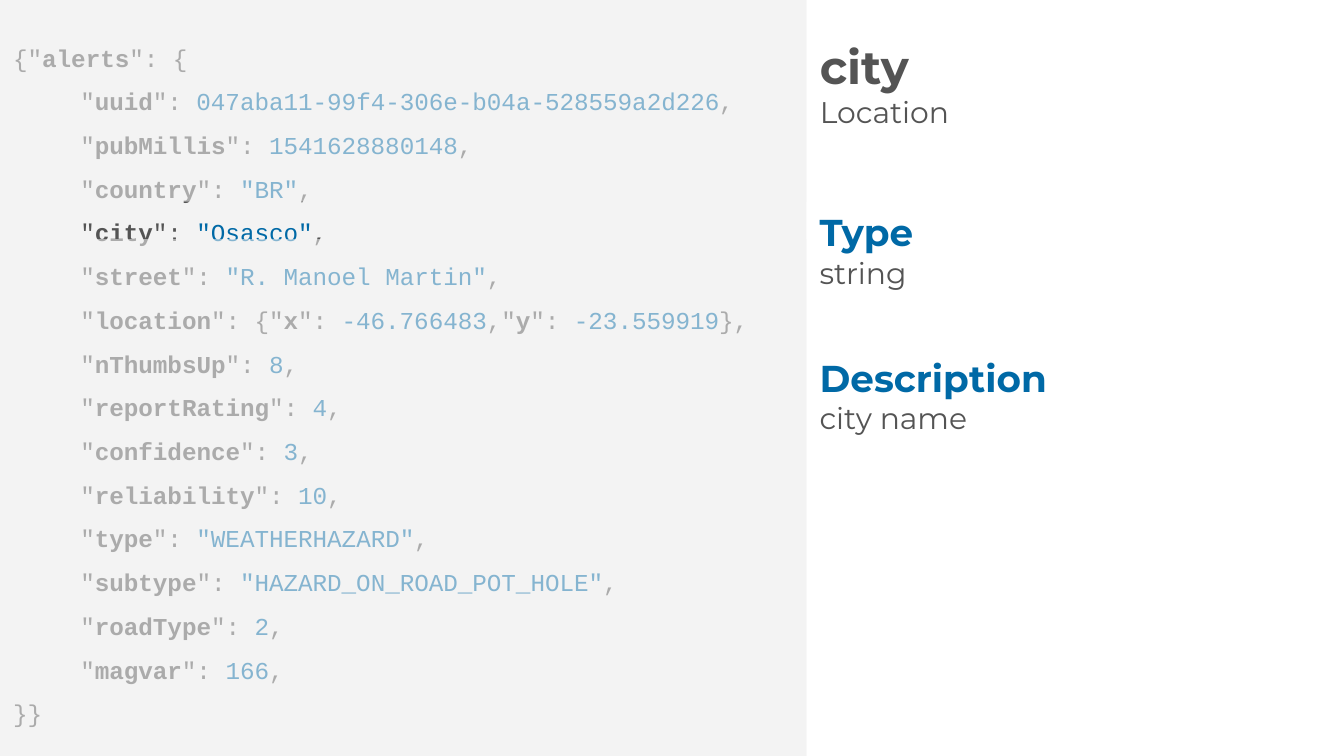
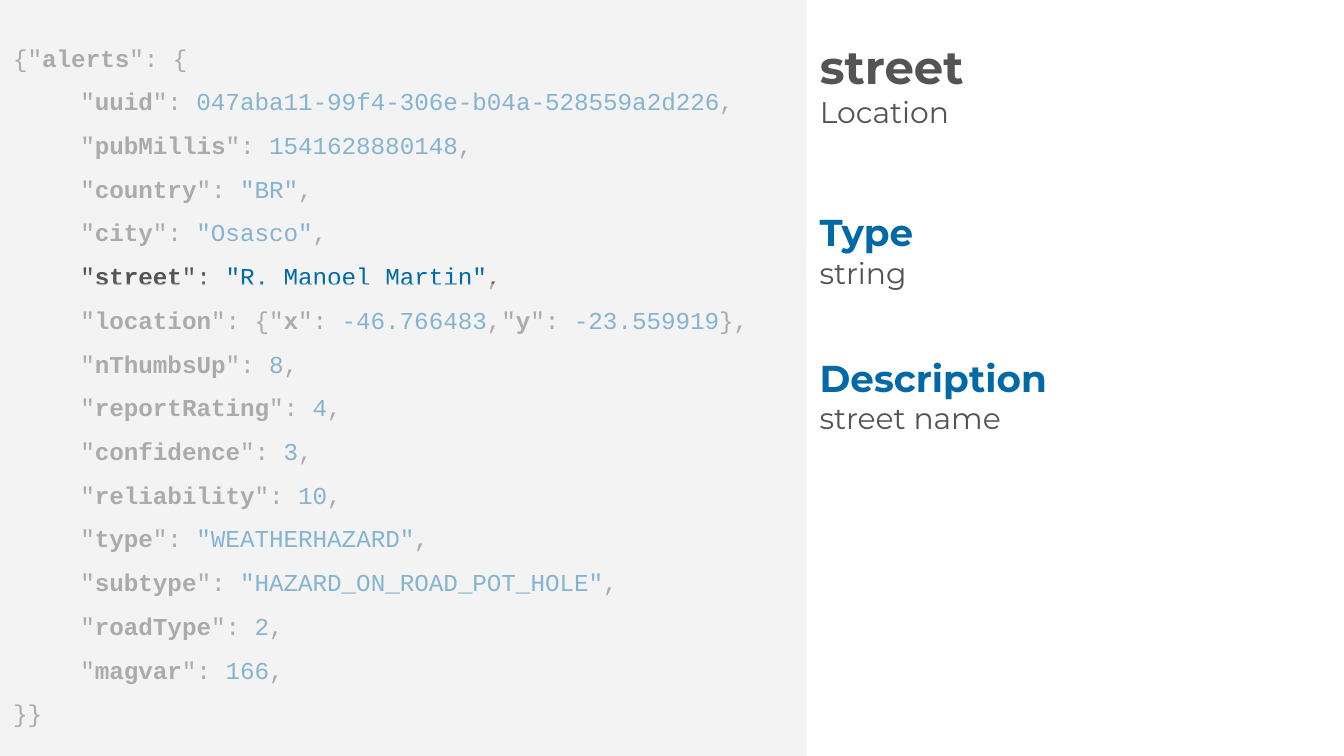
"""Build the field reference slides for the alerts JSON feed."""
from lxml import etree
from pptx import Presentation
from pptx.dml.color import RGBColor
from pptx.enum.shapes import MSO_SHAPE
from pptx.enum.text import MSO_ANCHOR, MSO_AUTO_SIZE, PP_ALIGN
from pptx.oxml.ns import qn
from pptx.util import Emu, Pt

PX = 4572
W, H = 2000, 1125
PANEL_W = 1200
INDENT = 100
ROW_TOP, ROW_STEP, GAP_H, VEIL_H = 36, 66, 56, 1010

RECT = MSO_SHAPE.RECTANGLE
MIDDLE, TOP = MSO_ANCHOR.MIDDLE, MSO_ANCHOR.TOP
LEFT = PP_ALIGN.LEFT
NO_FIT = MSO_AUTO_SIZE.NONE

GREY, TEXT, BLUE = "F3F3F3", "545454", "0069A6"
CODE_FONT, BODY_FONT = "Courier New", "Montserrat"
PLAIN, KEY, VALUE = (TEXT, False), (TEXT, True), (BLUE, False)


def px(n):
    return Emu(n * PX)


def rgb(value):
    return RGBColor.from_string(value)


def pair(key, value, lead='"'):
    return [(lead, PLAIN), (key, KEY), ('": ', PLAIN), (value, VALUE)]


FIELDS = {
    "uuid": "047aba11-99f4-306e-b04a-528559a2d226",
    "pubMillis": "1541628880148",
    "country": '"BR"',
    "city": '"Osasco"',
    "street": '"R. Manoel Martin"',
    "location": ("-46.766483", "-23.559919"),
    "nThumbsUp": "8",
    "reportRating": "4",
    "confidence": "3",
    "reliability": "10",
    "type": '"WEATHERHAZARD"',
    "subtype": '"HAZARD_ON_ROAD_POT_HOLE"',
    "roadType": "2",
    "magvar": "166",
}

SLIDES = [
    ("city", "Location", "string", "city name"),
    ("street", "Location", "string", "street name"),
]


def field_runs(key, value):
    if isinstance(value, tuple):
        x, y = value
        return [('"', PLAIN), (key, KEY), *pair("x", x, '": {"'),
                *pair("y", y, ',"'), ("},", PLAIN)]
    return pair(key, value) + [(",", PLAIN)]


class Deck:
    def __init__(self):
        self.prs = Presentation()
        self.prs.slide_width, self.prs.slide_height = px(W), px(H)
        self.slide = None

    def add_slide(self):
        self.slide = self.prs.slides.add_slide(self.prs.slide_layouts[5])

    def frame(self, sp, anchor):
        tf = sp.text_frame
        tf.word_wrap = True
        tf.auto_size = NO_FIT
        tf.vertical_anchor = anchor
        tf.margin_left = tf.margin_right = px(20)
        tf.margin_top = tf.margin_bottom = px(20)
        return tf

    def para(self, tf, runs, size, font, spacing=1.0, indent=0):
        p = tf.paragraphs[0]
        if p.runs:
            p = tf.add_paragraph()
        p.alignment = LEFT
        p.line_spacing = spacing
        p.space_before = p.space_after = Pt(0)
        if indent:
            p._p.get_or_add_pPr().set("marL", str(px(indent)))
        for text, (color, bold) in runs:
            r = p.add_run()
            r.text = text
            r.font.name, r.font.size, r.font.bold = font, Pt(size), bold
            r.font.color.rgb = rgb(color)

    def rect(self, x, y, w, h, color, alpha=100):
        sp = self.slide.shapes.add_shape(RECT, px(x), px(y), px(w), px(h))
        sp.shadow.inherit = False
        sp.fill.solid()
        sp.fill.fore_color.rgb = rgb(color)
        sp.line.fill.background()
        if alpha < 100:
            clr = sp._element.spPr.find(qn("a:solidFill"))[0]
            etree.SubElement(clr, qn("a:alpha")).set("val", str(alpha * 1000))
        return sp

    def title(self, name, group):
        sp = self.slide.shapes.title
        sp.left, sp.top = px(PANEL_W), px(32)
        sp.width, sp.height = px(W - PANEL_W), px(184)
        tf = self.frame(sp, MIDDLE)
        self.para(tf, [(name, KEY)], 25, BODY_FONT)
        self.para(tf, [(group, PLAIN)], 16, BODY_FONT)

    def text(self, y, w, h, text, size, style):
        sp = self.slide.shapes.add_textbox(px(PANEL_W), px(y), px(w), px(h))
        self.para(self.frame(sp, TOP), [(text, style)], size, BODY_FONT)

    def section(self, y, heading, body):
        self.text(y, 386, 100, heading, 20, (BLUE, True))
        self.text(y + 67, 720, 174, body, 16, PLAIN)

    def code(self):
        tf = self.frame(self.rect(0, 0, PANEL_W, H, GREY), MIDDLE)
        opening = [('{"', PLAIN), ("alerts", KEY), ('": {', PLAIN)]
        self.para(tf, opening, 13, CODE_FONT, 1.5)
        for key, value in FIELDS.items():
            self.para(tf, field_runs(key, value), 13, CODE_FONT, 1.5, INDENT)
        self.para(tf, [("}}", PLAIN)], 13, CODE_FONT, 1.5)

    def spotlight(self, key):
        gap = ROW_TOP + ROW_STEP * (list(FIELDS).index(key) + 1)
        for y in (gap + GAP_H, gap - VEIL_H):
            self.rect(0, y, PANEL_W, VEIL_H, GREY, 55)


def main():
    deck = Deck()
    for name, group, kind, description in SLIDES:
        deck.add_slide()
        deck.code()
        deck.spotlight(name)
        deck.title(name, group)
        deck.section(292, "Type", kind)
        deck.section(508, "Description", description)
    deck.prs.save("out.pptx")


if __name__ == "__main__":
    main()
